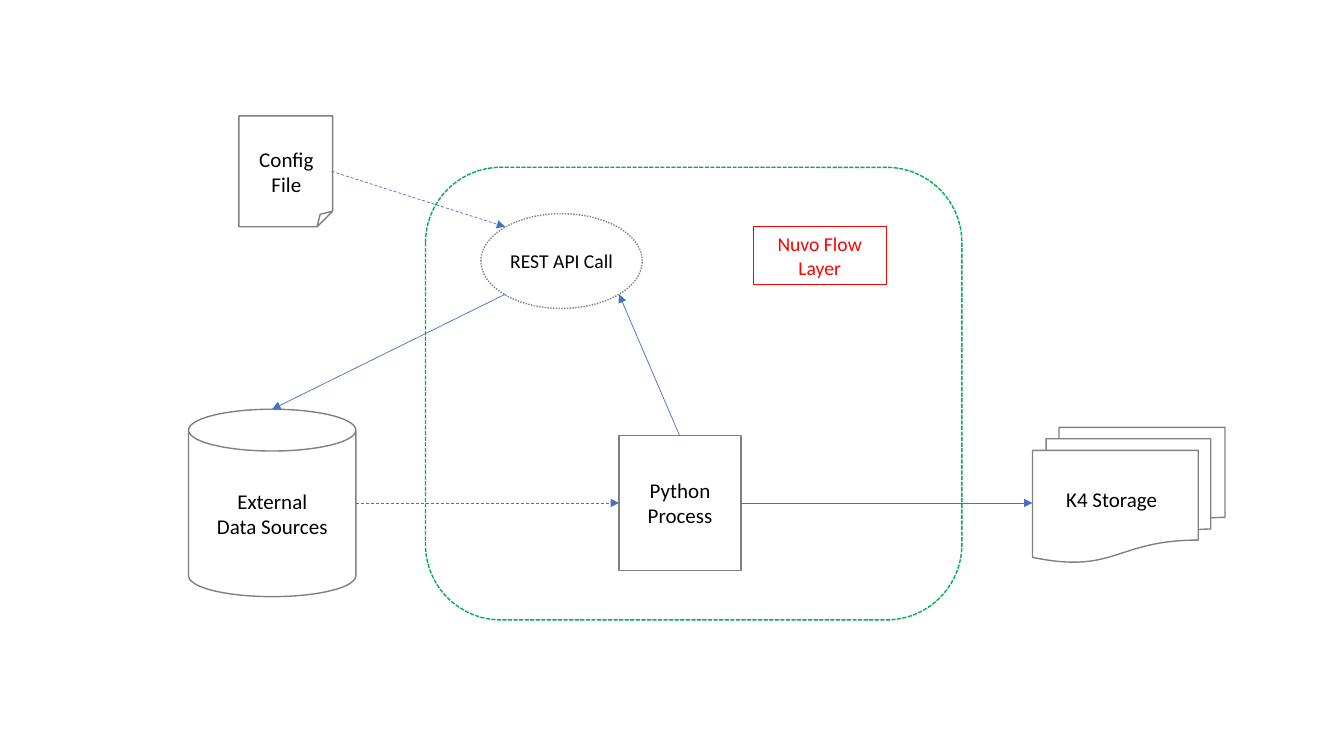
from lxml.etree import SubElement
from pptx import Presentation
from pptx.dml.color import RGBColor
from pptx.enum.dml import MSO_LINE
from pptx.enum.shapes import MSO_CONNECTOR, MSO_SHAPE
from pptx.enum.text import MSO_ANCHOR, PP_ALIGN
from pptx.oxml.ns import qn
from pptx.util import Inches, Pt

BLACK = RGBColor(0x00, 0x00, 0x00)
GRAY = RGBColor(0x80, 0x80, 0x80)
BLUE = RGBColor(0x44, 0x72, 0xC4)
GREEN = RGBColor(0x00, 0xB0, 0x50)
RED = RGBColor(0xFF, 0x00, 0x00)
FONT = "Calibri"


def write_text(shape, text, size, color):
    """Write one centred, wrapping paragraph into a shape."""
    frame = shape.text_frame
    frame.word_wrap = True
    paragraph = frame.paragraphs[0]
    paragraph.text = text
    paragraph.alignment = PP_ALIGN.CENTER
    paragraph.font.name = FONT
    paragraph.font.size = Pt(size)
    paragraph.font.color.rgb = color


def add_outline(page, kind, place, color=GRAY, width=1, dash=None):
    """Add an unfilled shape with a coloured outline."""
    shape = page.shapes.add_shape(kind, *map(Inches, place))
    shape.shadow.inherit = False
    shape.fill.background()
    shape.line.color.rgb = color
    shape.line.width = Pt(width)
    if dash:
        shape.line.dash_style = dash
    return shape


def add_label(page, text, place, size=15):
    """Add a black text label."""
    box = page.shapes.add_textbox(*map(Inches, place))
    write_text(box, text, size, BLACK)


def add_arrow(page, start, end, dash=None):
    """Add a thin blue arrow from start to end."""
    arrow = page.shapes.add_connector(
        MSO_CONNECTOR.STRAIGHT, *map(Inches, start + end))
    arrow.line.color.rgb = BLUE
    arrow.line.width = Pt(0.5)
    if dash:
        arrow.line.dash_style = dash
    SubElement(arrow.line._get_or_add_ln(), qn("a:tailEnd"), type="triangle")
    SubElement(arrow._element.spPr, qn("a:effectLst"))


def main():
    """Build the data flow slide."""
    deck = Presentation()
    deck.slide_width, deck.slide_height = Inches(13.33), Inches(7.5)
    page = deck.slides.add_slide(deck.slide_layouts[6])

    add_outline(page, MSO_SHAPE.OVAL, (4.77, 2.12, 1.6, 0.94),
                dash=MSO_LINE.ROUND_DOT)
    for kind, place in (
        (MSO_SHAPE.CAN, (1.87, 4.06, 1.66, 1.86)),
        (MSO_SHAPE.RECTANGLE, (6.14, 4.32, 1.21, 1.34)),
        (MSO_SHAPE.FLOWCHART_MULTIDOCUMENT, (10.24, 4.24, 1.91, 1.34)),
        (MSO_SHAPE.FOLDED_CORNER, (2.37, 1.15, 0.93, 1.1)),
    ):
        add_outline(page, kind, place)

    add_label(page, "External Data Sources", (2.04, 4.8, 1.32, 0.61))
    add_label(page, "REST API Call", (4.91, 2.42, 1.32, 0.34), size=14)
    add_label(page, "Python Process", (6.21, 4.69, 1.07, 0.61))
    add_label(page, "Config File", (2.4, 1.4, 0.88, 0.61))
    add_label(page, "K4 Storage", (10.38, 4.78, 1.29, 0.35))

    add_arrow(page, (6.74, 4.32), (6.14, 2.92))
    add_arrow(page, (5.01, 2.92), (2.7, 4.06))
    add_arrow(page, (3.53, 4.99), (6.14, 4.99), MSO_LINE.DASH)
    add_arrow(page, (3.29, 1.7), (5.01, 2.25), MSO_LINE.DASH)
    add_arrow(page, (7.35, 4.99), (10.24, 4.99))

    add_outline(page, MSO_SHAPE.ROUNDED_RECTANGLE, (4.22, 1.66, 5.32, 4.49),
                GREEN, dash=MSO_LINE.SQUARE_DOT)
    layer = add_outline(page, MSO_SHAPE.RECTANGLE, (7.47, 2.25, 1.32, 0.57),
                        RED, width=0.75)
    write_text(layer, "Nuvo Flow Layer", 14, RED)
    layer.text_frame.vertical_anchor = MSO_ANCHOR.MIDDLE

    deck.save("out.pptx")


main()
